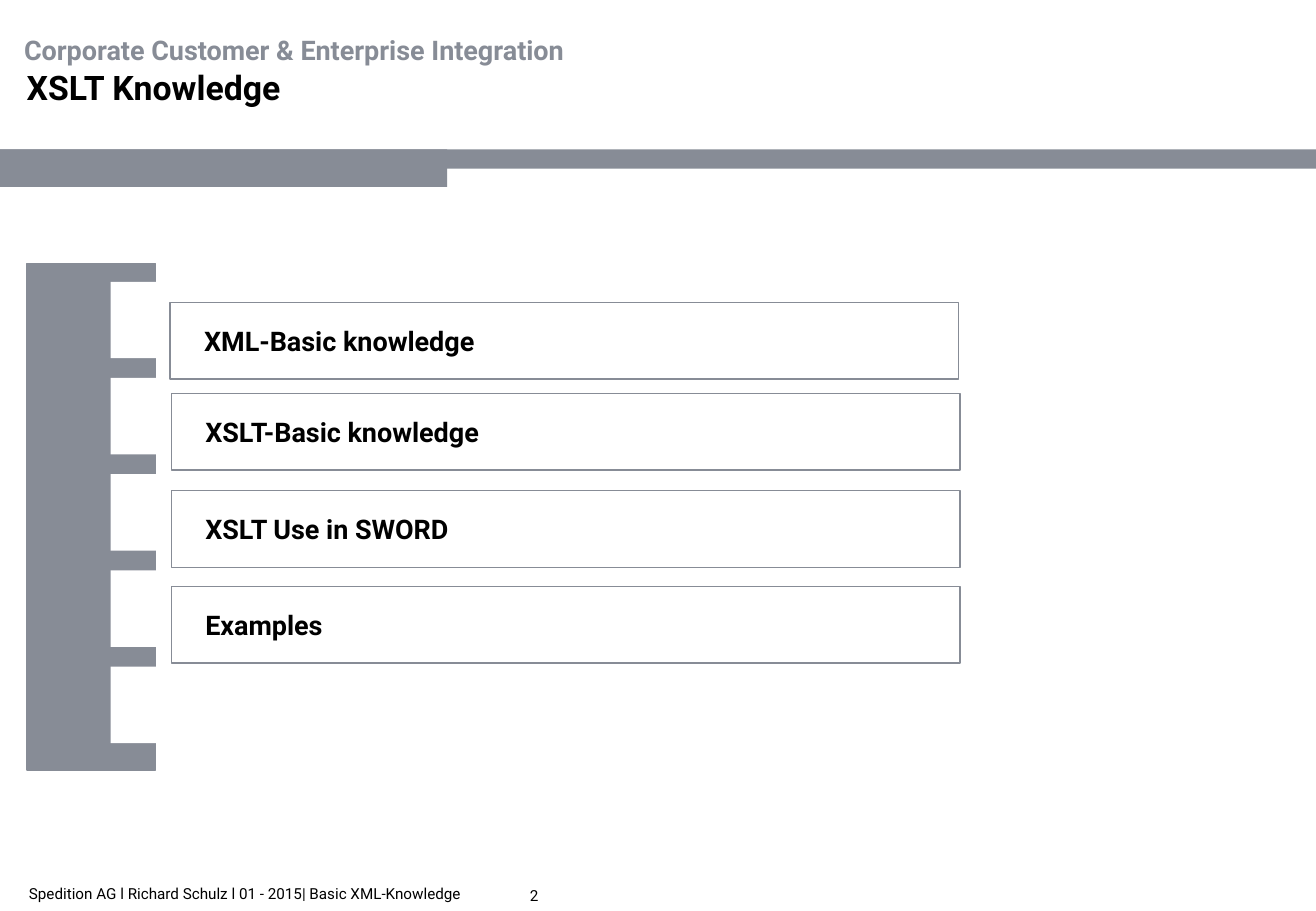
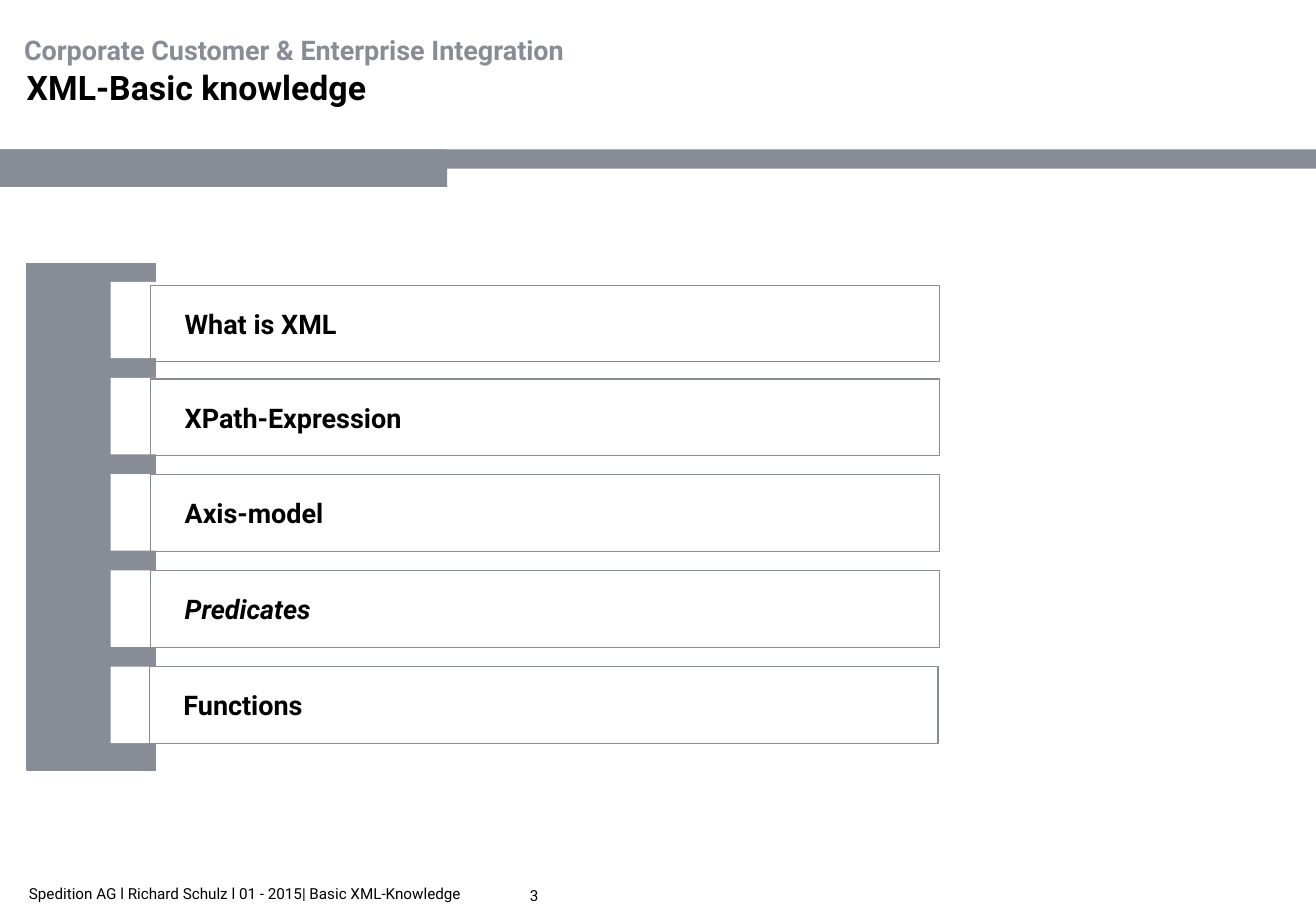
"""Build two agenda slides that share one frame of bands, header and footer."""
from dataclasses import dataclass

import pptx
import pptx.dml.color
import pptx.enum.shapes
import pptx.enum.text
import pptx.presentation
import pptx.shapes.autoshape
import pptx.slide
import pptx.util

Inches = pptx.util.Inches
Anchor = pptx.enum.text.MSO_ANCHOR

COLORS = {"gray": "878C96", "black": "000000", "white": "FFFFFF"}
FONT = "Roboto"
HEADER = "Corporate Customer & Enterprise Integration"
FOOTER = "Spedition AG l Richard Schulz l 01 - 2015| Basic XML-Knowledge"
ROW_WIDTH, ROW_HEIGHT = 6.49, 0.63
NOTCH_LEFT, NOTCH_TOP, NOTCH_STEP, NOTCH_COUNT = 0.91, 2.32, 0.792, 5


@dataclass(frozen=True)
class Area:
    left: float
    top: float
    width: float
    height: float


@dataclass(frozen=True)
class Entry:
    text: str
    left: float
    top: float
    italic: bool = False


@dataclass(frozen=True)
class Agenda:
    title: str
    number: int
    entries: tuple[Entry, ...]


AGENDAS = (
    Agenda("XSLT Knowledge", 2, (
        Entry("XML-Basic knowledge", 1.4, 2.49),
        Entry("XSLT-Basic knowledge", 1.41, 3.24),
        Entry("XSLT Use in SWORD", 1.41, 4.04),
        Entry("Examples", 1.41, 4.83),
    )),
    Agenda("XML-Basic knowledge", 3, (
        Entry("What is XML", 1.24, 2.35),
        Entry("XPath-Expression", 1.24, 3.12),
        Entry("Axis-model", 1.24, 3.91),
        Entry("Predicates", 1.24, 4.7, italic=True),
        Entry("Functions", 1.23, 5.49),
    )),
)


def rgb(color: str) -> pptx.dml.color.RGBColor:
    """Return the named palette colour."""
    return pptx.dml.color.RGBColor.from_string(COLORS[color])


def add_rectangle(page: pptx.slide.Slide, area: Area, fill: str | None = None,
                  line: str | None = None,
                  line_width: float = 0.75) -> pptx.shapes.autoshape.Shape:
    """Draw a flat rectangle with optional fill and outline."""
    box = page.shapes.add_shape(
        pptx.enum.shapes.MSO_SHAPE.RECTANGLE, Inches(area.left), Inches(area.top),
        Inches(area.width), Inches(area.height))
    box.shadow.inherit = False
    if fill:
        box.fill.solid()
        box.fill.fore_color.rgb = rgb(fill)
    else:
        box.fill.background()
    if line:
        box.line.color.rgb = rgb(line)
        box.line.width = pptx.util.Pt(line_width)
    else:
        box.line.fill.background()
    return box


def write_text(box: pptx.shapes.autoshape.Shape, text: str, size: float,
               color: str = "black", bold: bool = False, italic: bool = False,
               margins: tuple[float, float, float, float] = (0, 0, 0, 0),
               anchor: Anchor = Anchor.TOP, wrap: bool = True) -> None:
    """Write one left-aligned run; margins run left, top, right, bottom."""
    frame = box.text_frame
    frame.word_wrap = wrap
    frame.vertical_anchor = anchor
    (frame.margin_left, frame.margin_top,
     frame.margin_right, frame.margin_bottom) = map(Inches, margins)
    para = frame.paragraphs[0]
    para.alignment = pptx.enum.text.PP_ALIGN.LEFT
    span = para.add_run()
    span.text = text
    span.font.name = FONT
    span.font.size = pptx.util.Pt(size)
    span.font.bold = bold
    span.font.italic = italic
    span.font.color.rgb = rgb(color)


def add_text_box(page: pptx.slide.Slide, area: Area) -> pptx.shapes.autoshape.Shape:
    """Add an empty text box."""
    return page.shapes.add_textbox(Inches(area.left), Inches(area.top),
                                   Inches(area.width), Inches(area.height))


def add_frame(page: pptx.slide.Slide, title: str, number: int) -> None:
    """Draw the bands, comb, header, title, footer and page number."""
    add_rectangle(page, Area(0, 1.23, 10.83, 0.16), "gray")
    add_rectangle(page, Area(0, 1.23, 3.68, 0.31), "gray")
    standard = (0.1, 0.05, 0.1, 0.05)
    write_text(add_text_box(page, Area(0.14, 7.23, 3.87, 0.25)), FOOTER, 9,
               margins=standard, wrap=False)
    write_text(add_text_box(page, Area(0.1, 0.23, 5, 0.37)), HEADER, 16,
               color="gray", bold=True, margins=standard, wrap=False)
    add_rectangle(page, Area(0.22, 2.17, 1.06, 4.17), "gray", "gray", 1)
    for index in range(NOTCH_COUNT):
        top = NOTCH_TOP + index * NOTCH_STEP
        add_rectangle(page, Area(NOTCH_LEFT, top, ROW_WIDTH, ROW_HEIGHT), "white")
    write_text(add_text_box(page, Area(4.36, 7.32, 2.08, 0.1)), str(number), 9,
               anchor=Anchor.MIDDLE)
    write_text(add_text_box(page, Area(0.22, 0.55, 10.39, 0.71)), title, 20,
               bold=True, margins=(0, 0, 2.99, 0))


def add_entry(page: pptx.slide.Slide, entry: Entry) -> None:
    """Draw one outlined agenda row."""
    box = add_rectangle(page, Area(entry.left, entry.top, ROW_WIDTH, ROW_HEIGHT),
                        line="gray")
    write_text(box, entry.text, 16, bold=True, italic=entry.italic,
               margins=(0.28, 0, 0, 0), anchor=Anchor.MIDDLE)


def add_agenda(deck: pptx.presentation.Presentation, agenda: Agenda) -> None:
    """Add one agenda slide."""
    page = deck.slides.add_slide(deck.slide_layouts[6])
    add_frame(page, agenda.title, agenda.number)
    for entry in agenda.entries:
        add_entry(page, entry)


def main() -> None:
    """Build and save the deck."""
    deck = pptx.Presentation()
    deck.slide_width = Inches(10.83)
    deck.slide_height = Inches(7.5)
    for agenda in AGENDAS:
        add_agenda(deck, agenda)
    deck.save("out.pptx")


if __name__ == "__main__":
    main()
